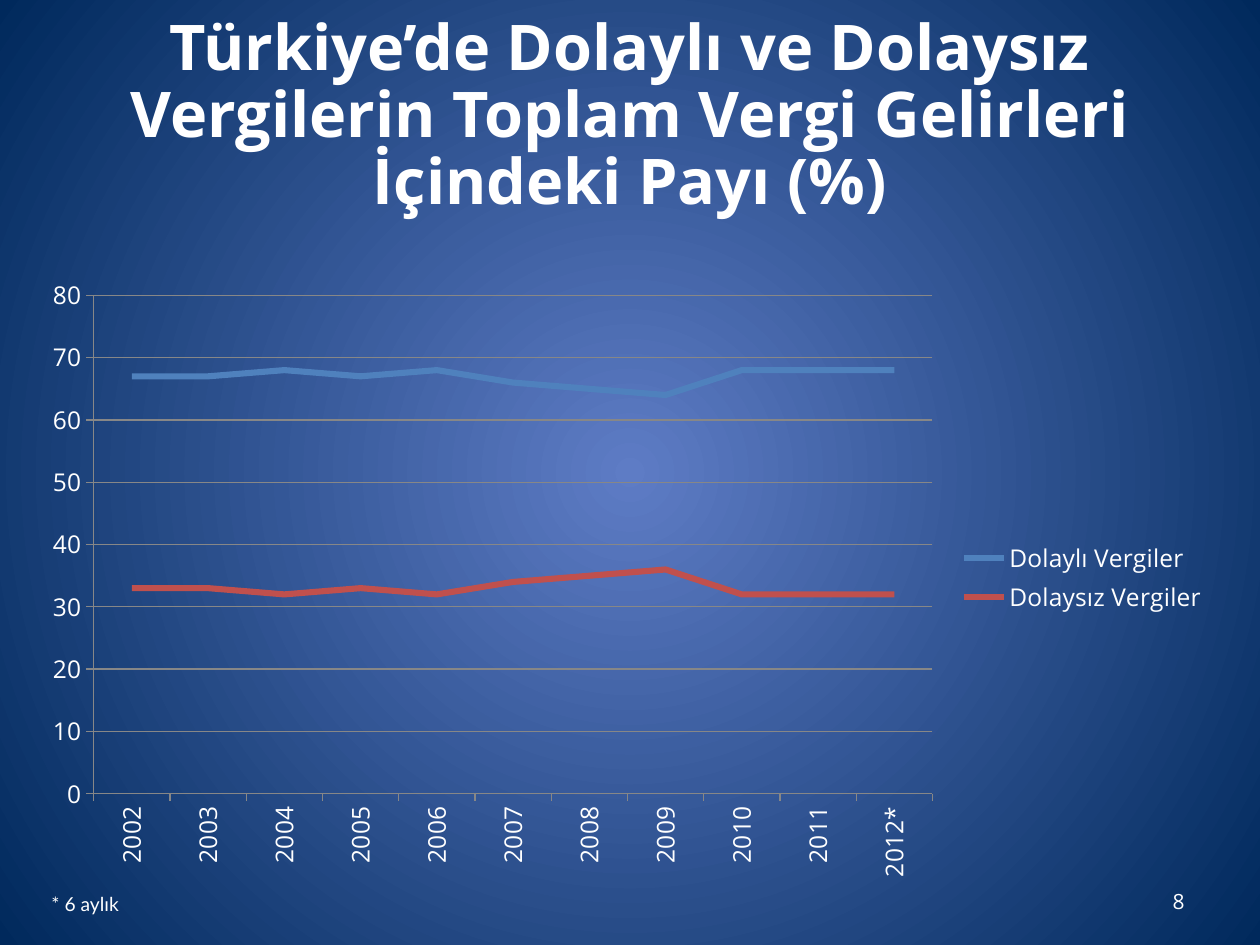
import pptx
import pptx.chart.data
import pptx.dml.color
import pptx.enum.chart
import pptx.enum.text
import pptx.oxml
import pptx.oxml.ns
import pptx.util

Inches = pptx.util.Inches
Pt = pptx.util.Pt
Align = pptx.enum.text.PP_ALIGN
Anchor = pptx.enum.text.MSO_ANCHOR


def color(value):
    return pptx.dml.color.RGBColor.from_string(value)


def format_font(font, size=14, name="Open Sans", fill="FFFFFF", bold=False):
    font.size = Pt(size)
    font.name = name
    font.bold = bold
    font.color.rgb = color(fill)


def write_text(frame, text, align=Align.LEFT, anchor=Anchor.TOP, spacing=1.0, **font_format):
    frame.word_wrap = True
    frame.vertical_anchor = anchor
    paragraph = frame.paragraphs[0]
    paragraph.alignment = align
    paragraph.line_spacing = spacing
    run = paragraph.add_run()
    run.text = text
    format_font(run.font, **font_format)


class SlideBuilder:
    grid_color = "878787"
    line_width = 3.5

    def __init__(self, slide):
        self.slide = slide

    def radial_background(self, center, edge):
        fill = self.slide.background.fill
        fill.gradient()
        for stop, value in zip(fill.gradient_stops, (center, edge)):
            stop.color.rgb = color(value)
        linear = self.slide._element.xpath(".//p:bgPr/a:gradFill/a:lin")[0]
        circle = pptx.oxml.parse_xml(
            f'<a:path {pptx.oxml.ns.nsdecls("a")} path="circle">'
            '<a:fillToRect l="50000" t="50000" r="50000" b="50000"/></a:path>'
        )
        linear.getparent().replace(linear, circle)

    def text(self, text, left, top, width, height, **text_format):
        shape = self.slide.shapes.add_textbox(
            Inches(left), Inches(top), Inches(width), Inches(height)
        )
        write_text(shape.text_frame, text, **text_format)

    def style_line(self, line, value, width):
        line.color.rgb = color(value)
        line.width = Pt(width)

    def line_chart(self, categories, series_list, left, top, width, height):
        data = pptx.chart.data.CategoryChartData()
        data.categories = categories
        for name, values, _ in series_list:
            data.add_series(name, values)
        chart = self.slide.shapes.add_chart(
            pptx.enum.chart.XL_CHART_TYPE.LINE,
            Inches(left), Inches(top), Inches(width), Inches(height), data,
        ).chart
        format_font(chart.font)
        chart.has_title = False
        chart.has_legend = True
        chart.legend.position = pptx.enum.chart.XL_LEGEND_POSITION.RIGHT
        chart.legend.include_in_layout = False
        format_font(chart.legend.font)
        chart.plots[0].vary_by_categories = False
        for series, (_, _, value) in zip(chart.plots[0].series, series_list):
            series.smooth = False
            series.marker.style = pptx.enum.chart.XL_MARKER_STYLE.NONE
            self.style_line(series.format.line, value, self.line_width)
        for axis in (chart.category_axis, chart.value_axis):
            axis.major_tick_mark = pptx.enum.chart.XL_TICK_MARK.OUTSIDE
            format_font(axis.tick_labels.font)
            self.style_line(axis.format.line, self.grid_color, 0.75)
        chart.category_axis._element.xpath("c:txPr/a:bodyPr")[0].set("rot", "-5400000")
        value_axis = chart.value_axis
        value_axis.minimum_scale, value_axis.maximum_scale = 0, 80
        value_axis.major_unit = 10
        value_axis.has_major_gridlines = True
        self.style_line(value_axis.major_gridlines.format.line, self.grid_color, 0.75)


presentation = pptx.Presentation()
presentation.slide_width = Inches(10)
presentation.slide_height = Inches(7.5)
builder = SlideBuilder(presentation.slides.add_slide(presentation.slide_layouts[6]))

builder.radial_background("5E7CC5", "00295C")
builder.text("8", 7.17, 6.95, 2.33, 0.4, align=Align.RIGHT, anchor=Anchor.MIDDLE, size=12)
builder.text(
    "Türkiye’de Dolaylı ve Dolaysız Vergilerin Toplam Vergi Gelirleri İçindeki Payı (%)",
    0.5, 0.3, 9, 1.26,
    align=Align.CENTER, anchor=Anchor.MIDDLE, spacing=0.89, size=36, bold=True,
)
years = [str(year) for year in range(2002, 2012)] + ["2012*"]
tax_shares = [
    ("Dolaylı Vergiler", (67, 67, 68, 67, 68, 66, 65, 64, 68, 68, 68), "4F81BD"),
    ("Dolaysız Vergiler", (33, 33, 32, 33, 32, 34, 35, 36, 32, 32, 32), "C0504D"),
]
builder.line_chart(years, tax_shares, 0.23, 2.11, 9.45, 4.95)
builder.text("* 6 aylık", 0.31, 7.03, 2.73, 0.29, size=11, name="Lato")

presentation.save("out.pptx")
